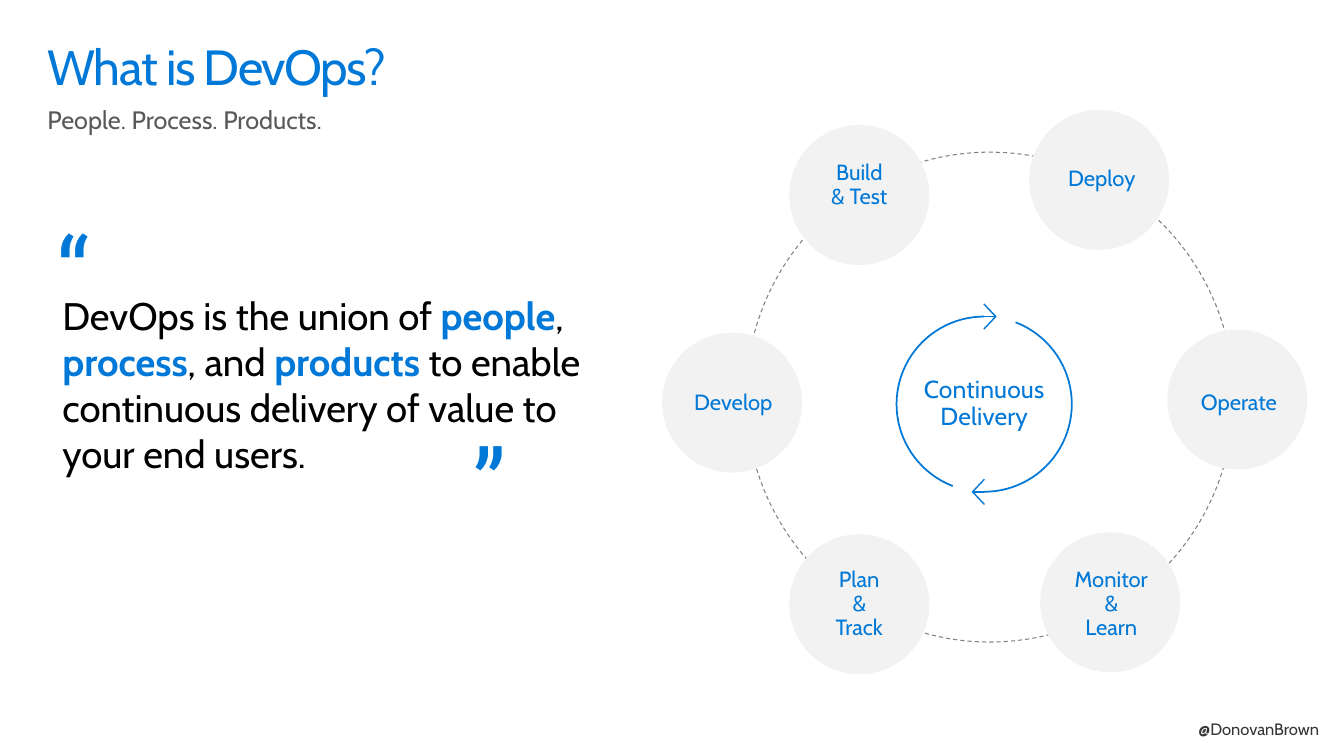
from lxml import etree
from pptx import Presentation
from pptx.dml.color import RGBColor
from pptx.enum import dml, shapes, text
from pptx.oxml import ns
from pptx.util import Pt

COLORS = {"blue": "0078D7", "black": "000000", "gray": "595959",
          "disc": "F2F2F2", "ring": "808080", "handle": "353535"}
DISC_SIZE = 100
LABEL_INSETS = (14.4, 11.5, 14.4, 11.5)
LABEL = dict(size=15.7, insets=LABEL_INSETS, line=0.9, after=5.9,
             align=text.PP_ALIGN.CENTER)

# Stage label, disc corner, label box (None: the label sits in the disc)
STAGES = [
    ("Build\n& Test", (563.8, 89.3), None),
    ("Deploy", (735.1, 78.5), (748.1, 108, 77.8, 39.6)),
    ("Operate", (833.8, 235.4), (842.4, 267.8, 85, 39.6)),
    ("Monitor\n&\nLearn", (743, 380.2), (748.1, 394.6, 91.4, 74.2)),
    ("Plan\n&\nTrack", (563.8, 381.6), (568.1, 394.6, 91.4, 74.2)),
    ("Develop", (473, 237.6), (478.1, 267.8, 91.4, 39.6)),
]
QUOTE = [("DevOps is the union of ", False), ("people", True), (", ", False),
         ("process", True), (", and ", False), ("products", True),
         (" to enable continuous delivery of value to your end users.", False)]


def rgb(name):
    return RGBColor.from_string(COLORS[name])


def write(box, content, size=18, color="blue", strong="blue", font="Cabin",
          insets=(0, 0, 0, 0), line=None, after=0, spacing=0, wrap=True,
          align=text.PP_ALIGN.LEFT, anchor=text.MSO_ANCHOR.TOP):
    """Fill a box with a string or with (string, bold) pairs."""
    frame = box.text_frame
    frame.auto_size = text.MSO_AUTO_SIZE.NONE
    frame.word_wrap = wrap
    frame.vertical_anchor = anchor
    (frame.margin_left, frame.margin_top,
     frame.margin_right, frame.margin_bottom) = map(Pt, insets)
    para = frame.paragraphs[0]
    para.alignment = align
    para.space_before, para.space_after = Pt(0), Pt(after)
    if line:
        para.line_spacing = line
    parts = [(content, False)] if isinstance(content, str) else content
    for words, bold in parts:
        for index, row in enumerate(words.split("\n")):
            if index:
                para.add_line_break()
            span = para.add_run()
            span.text = row
            span.font.name, span.font.size = font, Pt(size)
            span.font.bold = bold
            span.font.color.rgb = rgb(strong if bold else color)
            if spacing:
                span.font._element.set("spc", str(round(spacing * 100)))


def place(box, left, top, width, height):
    box.left, box.top = Pt(left), Pt(top)
    box.width, box.height = Pt(width), Pt(height)


def add_text(parent, bounds, content, **style):
    box = parent.add_textbox(*map(Pt, bounds))
    write(box, content, **style)


def outline(shape, color, width):
    shape.line.color.rgb = rgb(color)
    shape.line.width = Pt(width)


def add_shape(parent, kind, bounds):
    shape = parent.add_shape(kind, *map(Pt, bounds))
    shape.shadow.inherit = False
    shape.fill.background()
    return shape


def add_disc(parent, corner):
    disc = add_shape(parent, shapes.MSO_SHAPE.OVAL,
                     (*corner, DISC_SIZE, DISC_SIZE))
    disc.fill.solid()
    disc.fill.fore_color.rgb = rgb("disc")
    disc.line.fill.background()
    return disc


def add_arc(parent, center, radius, start, end):
    """Draw a clockwise arc between two angles in degrees."""
    x, y = center
    arc = add_shape(parent, shapes.MSO_SHAPE.ARC,
                    (x - radius, y - radius, 2 * radius, 2 * radius))
    # Adjustments count 100000 to the unit, angles 60000 to the degree
    arc.adjustments[0], arc.adjustments[1] = start * 0.6, end * 0.6
    outline(arc, "blue", 1.25)


def add_arrow_tip(parent, x, y, direction):
    """Draw a short shaft from (x, y) and the open chevron at its end."""
    tip = x + direction * 8.3
    back = tip - direction * 8.5
    shaft = parent.add_connector(shapes.MSO_CONNECTOR.STRAIGHT,
                                 Pt(x), Pt(y), Pt(tip), Pt(y))
    etree.SubElement(shaft._element.spPr, ns.qn("a:effectLst"))
    outline(shaft, "blue", 1)
    builder = parent.build_freeform(Pt(back), Pt(y - 9))
    builder.add_line_segments([(Pt(tip), Pt(y)), (Pt(back), Pt(y + 9))],
                              close=False)
    chevron = builder.convert_to_shape()
    chevron.shadow.inherit = False
    chevron.fill.background()
    outline(chevron, "blue", 1)


def add_headings(page):
    title, body = page.shapes.title, page.placeholders[1]
    place(title, 33.8, 17.3, 892.8, 58.3)
    write(title, "What is DevOps?", size=35.3, insets=(0, 13, 0, 0),
          line=0.9, spacing=-1)
    place(body, 33.8, 74.2, 892.8, 21.6)
    props = body.text_frame.paragraphs[0]._p.get_or_add_pPr()
    props.set("marL", "0")
    props.set("indent", "0")
    etree.SubElement(props, ns.qn("a:buNone"))
    write(body, "People. Process. Products.", color="gray", after=8.8)


def add_quote(page):
    group = page.shapes.add_group_shape().shapes
    add_text(group, (33.8, 149, 417.6, 306), QUOTE, size=27.4, color="black",
             insets=(10.8, 59.8, 14.4, 11.5))
    for mark, left, top in (("“", 33.8, 149), ("”", 331.2, 300.2)):
        add_text(group, (left, top, 60, 84), mark, size=62.7,
                 font="Roboto Slab", insets=(7.2, 3.6, 7.2, 3.6),
                 spacing=-0.1, wrap=False)


def add_cycle(page):
    # Dashed ring behind the stages
    ring = add_shape(page.shapes, shapes.MSO_SHAPE.OVAL,
                     (532.8, 108.7, 348.5, 349.9))
    outline(ring, "ring", 0.75)
    ring.line.dash_style = dml.MSO_LINE.DASH

    # Rotating arrows around the centre label
    x, y, radius = 703, 288.7, 62.6
    group = page.shapes.add_group_shape().shapes
    add_text(group, (637.9, 244.8, 130.3, 87.8), "Continuous\nDelivery",
             size=17.6, line=0.9, spacing=0.1, align=text.PP_ALIGN.CENTER,
             anchor=text.MSO_ANCHOR.MIDDLE)
    add_arc(group, (x, y), radius, 291, 90)
    add_arc(group, (x, y), radius, 111, 270)
    add_arrow_tip(group, x, y - radius, 1)
    add_arrow_tip(group, x, y + radius, -1)

    # Stages on the ring
    for label, corner, bounds in STAGES:
        disc = add_disc(page.shapes, corner)
        if bounds:
            add_text(page.shapes, bounds, label, **LABEL)
        else:
            write(disc, label, **{**LABEL, "after": 0})


def main():
    deck = Presentation()
    deck.slide_width, deck.slide_height = Pt(960), Pt(540)
    page = deck.slides.add_slide(deck.slide_layouts[1])
    add_headings(page)
    add_quote(page)
    add_cycle(page)
    add_text(page.shapes, (841.7, 504, 120.2, 36), "@DonovanBrown", size=11.8,
             color="handle", insets=LABEL_INSETS, line=0.9, after=5.9,
             wrap=False)
    deck.save("out.pptx")


if __name__ == "__main__":
    main()
